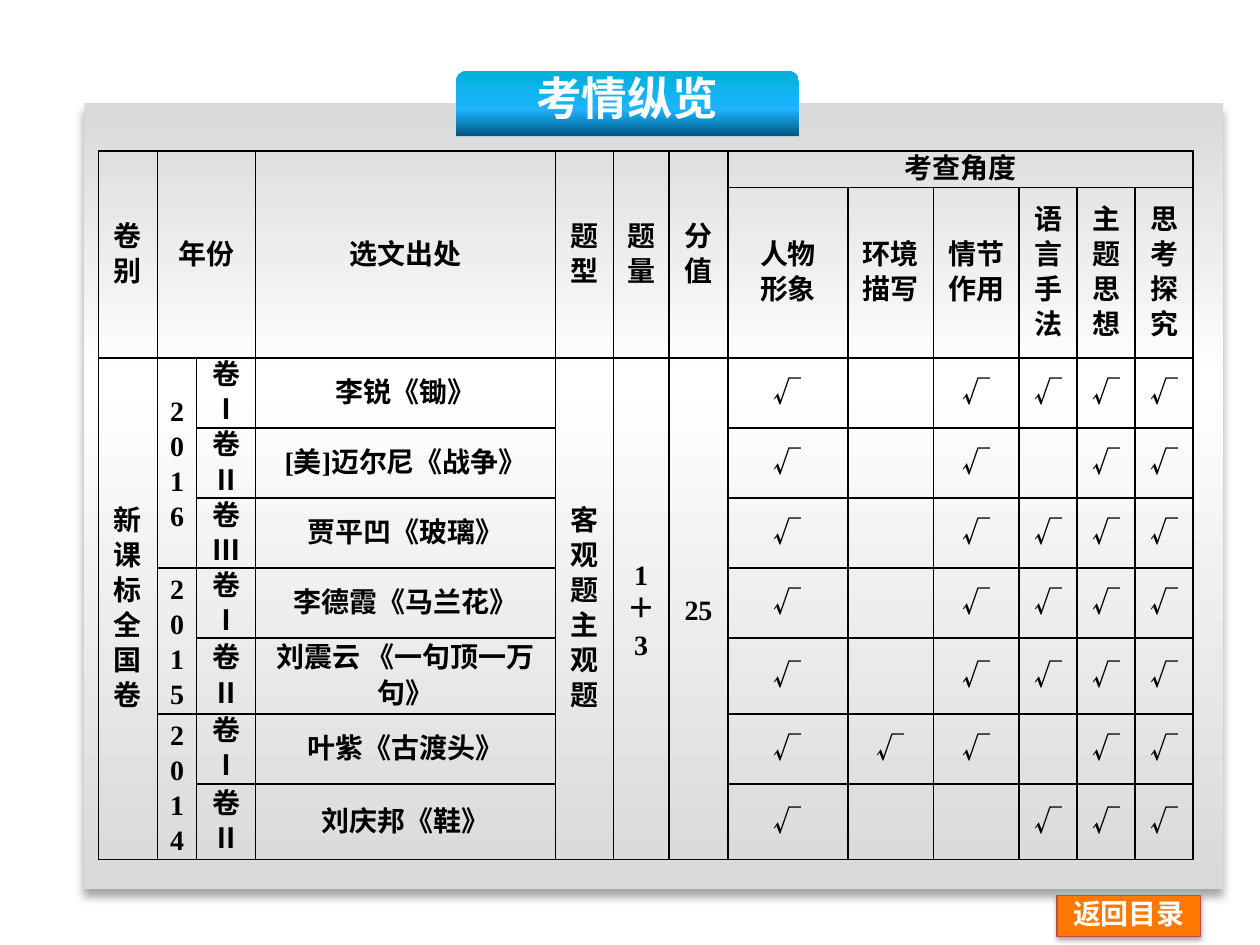
from lxml.etree import SubElement
from pptx import Presentation
from pptx.dml.color import RGBColor
from pptx.enum.shapes import MSO_SHAPE as SHAPE
from pptx.enum.text import MSO_ANCHOR as ANCHOR, PP_ALIGN as ALIGN
from pptx.oxml import parse_xml
from pptx.oxml.ns import nsdecls, qn
from pptx.util import Inches, Pt

WHITE, BLACK = RGBColor(255, 255, 255), RGBColor(0, 0, 0)
ORANGE, RED = RGBColor(0xFF, 0x78, 0x00), RGBColor(0xBF, 0x4C, 0x48)
GREY, SHADE = RGBColor(0xD9, 0xD9, 0xD9), RGBColor(0xA6, 0xA6, 0xA6)
CYAN, SKY, NAVY = (RGBColor(0x00, 0xB0, 0xDA), RGBColor(0x1E, 0xB4, 0xFF),
                   RGBColor(0x00, 0x57, 0x82))
SANS, SERIF = "Noto Sans CJK SC", "Times New Roman"

COL_WIDTHS = [0.47, 0.31, 0.47, 2.38, 0.46, 0.44, 0.47, 0.95, 0.68, 0.68, 0.46, 0.46, 0.46]
ROW_HEIGHTS = [0.29, 1.35, 0.55, 0.55, 0.55, 0.55, 0.6, 0.55, 0.6]
ANGLES = ["人物\n形象", "环境\n描写", "情节\n作用", "语言\n手法", "主题\n思想", "思考\n探究"]
FIRST_ANGLE = 7
# (row, column, rows spanned, columns spanned, text)
MERGED = [
    (0, 0, 2, 1, "卷别"), (0, 1, 2, 2, "年份"), (0, 3, 2, 1, "选文出处"),
    (0, 4, 2, 1, "题型"), (0, 5, 2, 1, "题量"), (0, 6, 2, 1, "分值"),
    (0, FIRST_ANGLE, 1, 6, "考查角度"),
    (2, 0, 7, 1, "新课标全国卷"), (2, 1, 3, 1, "2016"),
    (5, 1, 2, 1, "2015"), (7, 1, 2, 1, "2014"),
    (2, 4, 7, 1, "客观题\n主观题"), (2, 5, 7, 1, "1＋3"), (2, 6, 7, 1, "25"),
]
# (paper, source, one mark per angle: 1 = examined)
PAPERS = [
    ("Ⅰ", "李锐《锄》", "101111"),
    ("Ⅱ", "[美]迈尔尼《战争》", "101011"),
    ("Ⅲ", "贾平凹《玻璃》", "101111"),
    ("Ⅰ", "李德霞《马兰花》", "101111"),
    ("Ⅱ", "刘震云 《一句顶一万句》", "101111"),
    ("Ⅰ", "叶紫《古渡头》", "111011"),
    ("Ⅱ", "刘庆邦《鞋》", "100111"),
]


def write(tf, text, size=16, color=BLACK, font=SERIF, spacing=20, tail=""):
    """Fill a frame with centred bold lines; tail is an extra run in the sans font."""
    for i, line in enumerate(text.split("\n")):
        p = tf.paragraphs[0] if i == 0 else tf.add_paragraph()
        p.alignment, p.line_spacing = ALIGN.CENTER, Pt(spacing)
        p.font.size = Pt(size)
        for part, face in ((line, font), (tail, SANS)):
            if not part:
                continue
            r = p.add_run()
            r.text = part
            r.font.size, r.font.bold, r.font.name = Pt(size), True, face
            r.font.color.rgb = color
            SubElement(r._r.get_or_add_rPr(), qn("a:ea"), typeface=SANS)


def add_box(slide, shape, x, y, w, h):
    sp = slide.shapes.add_shape(shape, Inches(x), Inches(y), Inches(w), Inches(h))
    sp.shadow.inherit = False
    sp.line.fill.background()
    tf = sp.text_frame
    tf.word_wrap, tf.vertical_anchor = True, ANCHOR.MIDDLE
    tf.margin_top = tf.margin_bottom = 0
    return sp


def fill_gradient(sp, stops):
    sp.fill.gradient()
    grad = sp._element.spPr.find(qn("a:gradFill"))
    gs = "".join(f'<a:gs pos="{pos * 1000}"><a:srgbClr val="{c}"/></a:gs>' for pos, c in stops)
    grad.getparent().replace(grad, parse_xml(
        f'<a:gradFill rotWithShape="1" {nsdecls("a")}><a:gsLst>{gs}</a:gsLst>'
        '<a:lin ang="5400000" scaled="0"/></a:gradFill>'))


def add_shadow(sp, color, opacity, blur, dist):
    effects = sp._element.spPr.find(qn("a:effectLst"))
    effects.append(parse_xml(
        f'<a:outerShdw {nsdecls("a")} blurRad="{Pt(blur)}" dist="{Pt(dist)}" dir="5400000" '
        f'algn="ctr" rotWithShape="0"><a:srgbClr val="{color}">'
        f'<a:alpha val="{opacity * 1000}"/></a:srgbClr></a:outerShdw>'))


def format_cell(cell):
    cell.vertical_anchor = ANCHOR.MIDDLE
    cell.margin_left = cell.margin_right = Inches(0.07)
    cell.margin_top = cell.margin_bottom = 0
    tcPr = cell._tc.get_or_add_tcPr()
    for side in ("lnL", "lnR", "lnT", "lnB"):
        tcPr.append(parse_xml(
            f'<a:{side} {nsdecls("a")} w="{Pt(1)}"><a:solidFill>'
            f'<a:srgbClr val="{BLACK}"/></a:solidFill></a:{side}>'))
    cell.fill.background()


def add_exam_table(slide):
    frame = slide.shapes.add_table(len(ROW_HEIGHTS), len(COL_WIDTHS), Inches(0.78), Inches(1.2),
                                   Inches(sum(COL_WIDTHS)), Inches(sum(ROW_HEIGHTS)))
    table = frame.table
    table.first_row = table.horz_banding = False
    for col, width in zip(table.columns, COL_WIDTHS):
        col.width = Inches(width)
    for row, height in zip(table.rows, ROW_HEIGHTS):
        row.height = Inches(height)
    for cell in table.iter_cells():
        format_cell(cell)
    for row, col, rows, cols, text in MERGED:
        cell = table.cell(row, col)
        cell.merge(table.cell(row + rows - 1, col + cols - 1))
        write(cell.text_frame, text)
    for col, angle in enumerate(ANGLES, FIRST_ANGLE):
        write(table.cell(1, col).text_frame, angle)
    for row, (paper, source, marks) in enumerate(PAPERS, 2):
        write(table.cell(row, 2).text_frame, "卷", tail=paper)
        write(table.cell(row, 3).text_frame, source)
        for col, mark in enumerate(marks, FIRST_ANGLE):
            write(table.cell(row, col).text_frame, "√" if mark == "1" else "", font=SANS)


def main():
    prs = Presentation()
    prs.slide_width, prs.slide_height = Inches(10), Inches(7.5)
    slide = prs.slides.add_slide(prs.slide_layouts[6])
    slide.background.fill.solid()
    slide.background.fill.fore_color.rgb = WHITE

    panel = add_box(slide, SHAPE.RECTANGLE, 0.67, 0.82, 9.04, 6.24)
    fill_gradient(panel, [(0, GREY), (35, WHITE), (100, GREY)])
    add_shadow(panel, SHADE, 100, 5, 5)

    button = add_box(slide, SHAPE.ACTION_BUTTON_CUSTOM, 8.39, 7.11, 1.14, 0.32)
    button.fill.solid()
    button.fill.fore_color.rgb = ORANGE
    button.line.color.rgb, button.line.width = RED, Pt(0.75)
    add_shadow(button, BLACK, 35, 3.1, 1.8)
    write(button.text_frame, "返回目录", color=WHITE, font=SANS, spacing=16)

    title = add_box(slide, SHAPE.ROUND_2_SAME_RECTANGLE, 3.62, 0.56, 2.72, 0.52)
    fill_gradient(title, [(0, CYAN), (59, SKY), (100, NAVY)])
    write(title.text_frame, "考情纵览", size=26, color=WHITE, font=SANS, spacing=22)

    add_exam_table(slide)
    prs.save("out.pptx")


if __name__ == "__main__":
    main()
